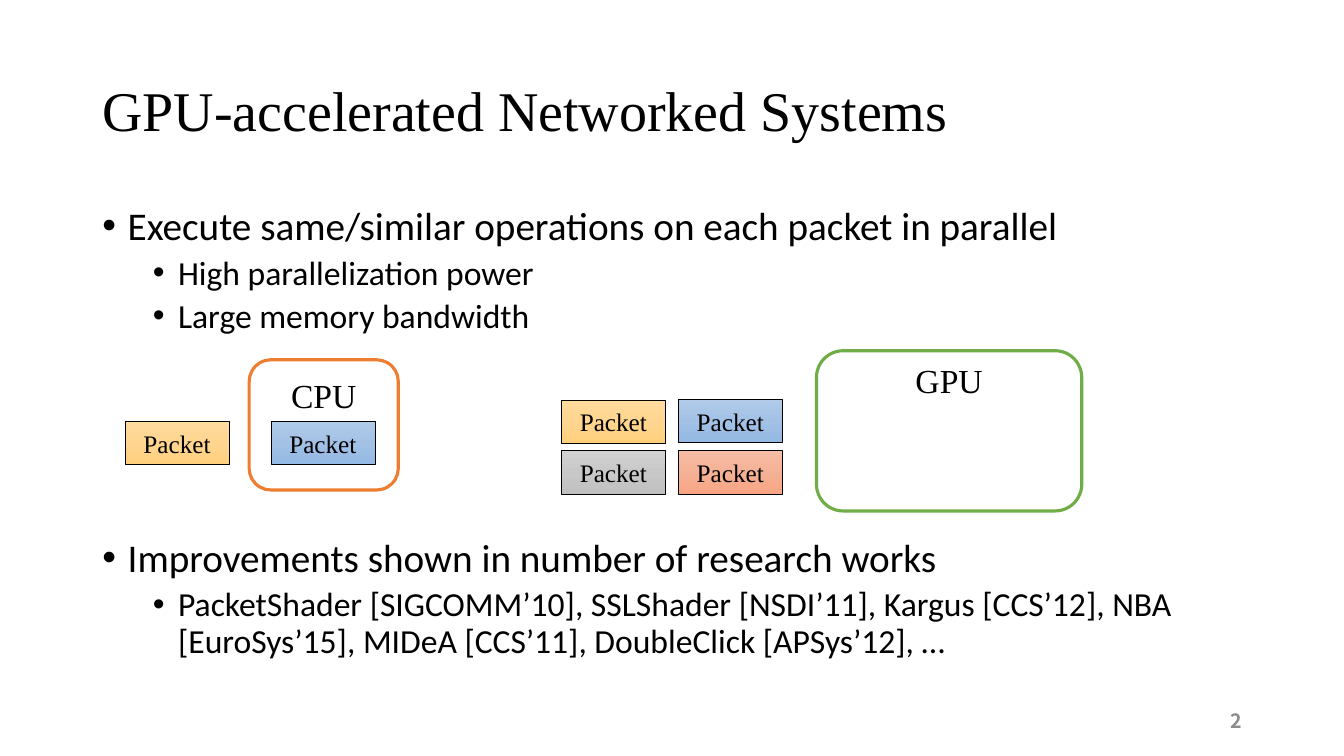
from copy import deepcopy
from dataclasses import dataclass

from pptx import Presentation
from pptx.dml.color import RGBColor
from pptx.enum.shapes import MSO_SHAPE
from pptx.enum.text import MSO_ANCHOR, MSO_AUTO_SIZE, PP_ALIGN
from pptx.oxml.ns import qn
from pptx.util import Pt

RECT, ROUND = MSO_SHAPE.RECTANGLE, MSO_SHAPE.ROUNDED_RECTANGLE
TOP, MIDDLE = MSO_ANCHOR.TOP, MSO_ANCHOR.MIDDLE
LEFT, CENTER, RIGHT = PP_ALIGN.LEFT, PP_ALIGN.CENTER, PP_ALIGN.RIGHT
FIXED = MSO_AUTO_SIZE.NONE

SERIF, SANS, NUMBER = "Times New Roman", "Calibri", "Noto Sans CJK KR"
COLORS = {"black": "000000", "white": "FFFFFF", "gray": "8C8C8C",
          "orange": "ED7D31", "green": "70AD47"}
SHADES = {
    "blue": ("B1CBE9", "A3C1E5", "93B9E4"),
    "gold": ("FFDB9E", "FFD590", "FFD07C"),
    "red": ("F7BDA5", "F5B196", "F8A582"),
    "gray": ("D2D2D2", "C8C8C8", "C0C0C0"),
}


@dataclass
class Item:
    text: str
    level: int = 0
    before: float = 10


@dataclass
class Chip:
    name: str
    color: str
    box: tuple
    inset: float


@dataclass
class Packet:
    shade: str
    left: float
    top: float


ITEMS = [
    Item("Execute same/similar operations on each packet in parallel"),
    Item("High parallelization power", 1, 5),
    Item("Large memory bandwidth", 1, 5),
    Item("Improvements shown in number of research works", 0, 145),
    Item("PacketShader [SIGCOMM’10], SSLShader [NSDI’11], Kargus [CCS’12], "
         "NBA [EuroSys’15], MIDeA [CCS’11], DoubleClick [APSys’12], …", 1, 5),
]
CHIPS = [
    Chip("CPU", "orange", (178, 257, 106.5, 93), 6.5),
    Chip("GPU", "green", (583.2, 250.5, 189.5, 114.5), 1),
]
PACKETS = [
    Packet("blue", 193.5, 301), Packet("gold", 89.3, 301),
    Packet("blue", 484.5, 285.2), Packet("gold", 401, 285.7),
    Packet("red", 484.5, 322), Packet("gray", 401, 322),
]


def rgb(code: str) -> RGBColor:
    return RGBColor.from_string(code)


def style(par, font: str, size: float, color: str = "black",
          align=LEFT, bold: bool = False) -> None:
    par.alignment = align
    for run in par.runs:
        run.font.name, run.font.size = font, Pt(size)
        run.font.bold = bold
        run.font.color.rgb = rgb(COLORS[color])


def place(shape, left: float, top: float, width: float, height: float) -> None:
    shape.left, shape.top = Pt(left), Pt(top)
    shape.width, shape.height = Pt(width), Pt(height)


def bullet(par, level: int) -> None:
    props = par._p.get_or_add_pPr()
    props.set("marL", str(Pt(18 + 36 * level)))
    props.set("indent", str(Pt(-18)))
    face = props.makeelement(qn("a:buFont"), {"typeface": "Arial"})
    mark = props.makeelement(qn("a:buChar"), {"char": "•"})
    props.extend([face, mark])


def block(slide, kind, box: tuple, text: str, size: float,
          line: str, weight: float):
    shape = slide.shapes.add_shape(kind, *(Pt(n) for n in box))
    shape.shadow.inherit = False
    shape.line.color.rgb = rgb(COLORS[line])
    shape.line.width = Pt(weight)
    frame = shape.text_frame
    frame.text = text
    frame.vertical_anchor = MIDDLE
    style(frame.paragraphs[0], SERIF, size, align=CENTER)
    return shape


def shade(shape, tones: tuple) -> None:
    shape.fill.gradient()
    shape.fill.gradient_angle = 270
    stops = shape.element.spPr.find(".//" + qn("a:gsLst"))
    stops.insert(1, deepcopy(stops[0]))
    for i, stop in enumerate(shape.fill.gradient_stops):
        stop.position = i / 2
        stop.color.rgb = rgb(tones[i])


def draw_chip(slide, chip: Chip) -> None:
    shape = block(slide, ROUND, chip.box, chip.name, 24, chip.color, 2.25)
    shape.fill.solid()
    shape.fill.fore_color.rgb = rgb(COLORS["white"])
    shape.text_frame.vertical_anchor = TOP
    shape.text_frame.margin_top = Pt(chip.inset)


def draw_packet(slide, packet: Packet) -> None:
    box = (packet.left, packet.top, 74.3, 31)
    shape = block(slide, RECT, box, "Packet", 18, "black", 0.5)
    shade(shape, SHADES[packet.shade])


def main() -> None:
    deck = Presentation()
    deck.slide_width, deck.slide_height = Pt(960), Pt(540)
    slide = deck.slides.add_slide(deck.slide_layouts[1])

    # Title
    title = slide.shapes.title
    place(title, 66, 28.8, 828, 104.4)
    frame = title.text_frame
    frame.text = "GPU-accelerated Networked Systems"
    frame.auto_size, frame.vertical_anchor = FIXED, MIDDLE
    frame.paragraphs[0].line_spacing = 0.9
    style(frame.paragraphs[0], SERIF, 40)

    # Bullet list
    body = slide.placeholders[1]
    place(body, 66, 144, 828, 342.7)
    frame = body.text_frame
    frame.text = "\n".join(item.text for item in ITEMS)
    frame.auto_size, frame.vertical_anchor = FIXED, TOP
    for par, item in zip(frame.paragraphs, ITEMS):
        par.level = item.level
        par.line_spacing, par.space_before = 0.9, Pt(item.before)
        style(par, SANS, 28 - 4 * item.level)
        bullet(par, item.level)

    # Slide number
    label = slide.shapes.add_textbox(Pt(678), Pt(500.5), Pt(216), Pt(28.8))
    frame = label.text_frame
    frame.word_wrap, frame.vertical_anchor = True, MIDDLE
    frame.text = "2"
    style(frame.paragraphs[0], NUMBER, 14, "gray", RIGHT, True)

    # Processors and their packets
    for chip in CHIPS:
        draw_chip(slide, chip)
    for packet in PACKETS:
        draw_packet(slide, packet)

    deck.save("out.pptx")


if __name__ == "__main__":
    main()
